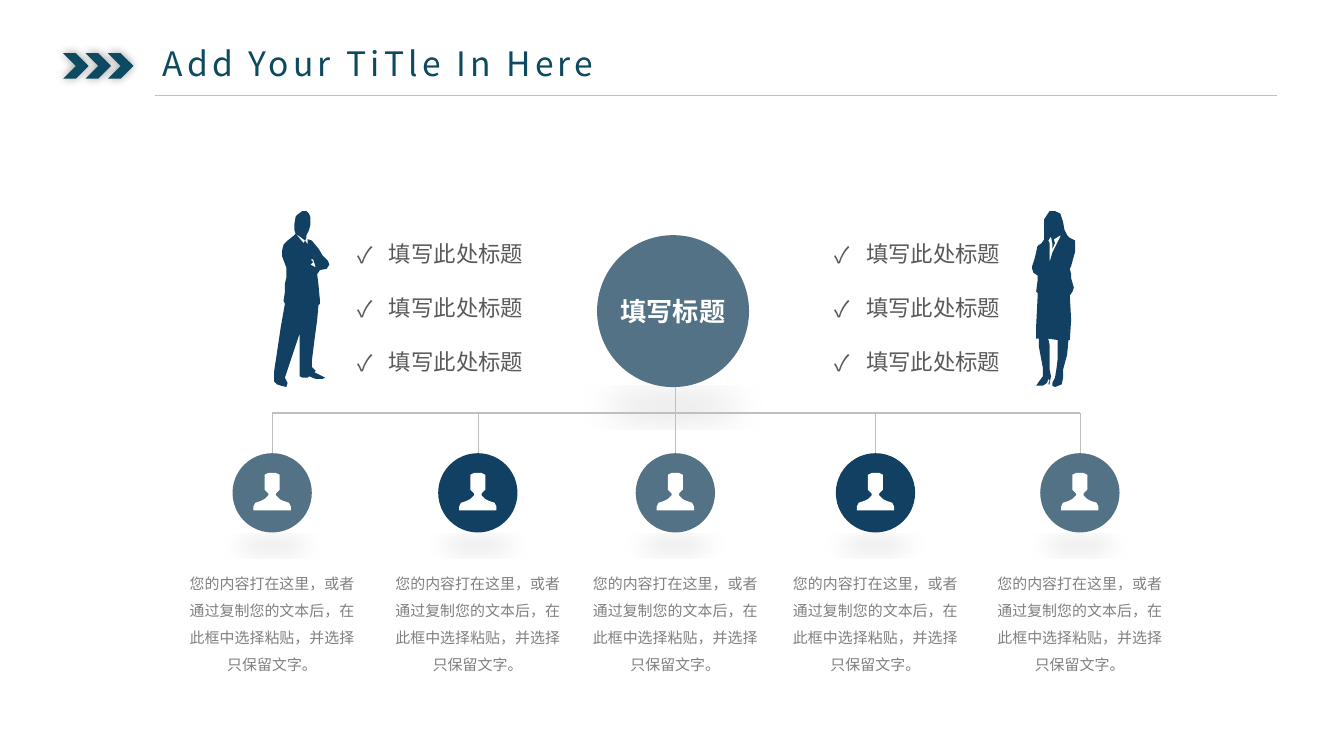
import pptx
import pptx.dml.color
import pptx.enum.shapes
import pptx.enum.text
import pptx.oxml
import pptx.oxml.ns
import pptx.util

Pt = pptx.util.Pt
SHAPES = pptx.enum.shapes.MSO_SHAPE
ALIGN = pptx.enum.text.PP_ALIGN
ANCHOR = pptx.enum.text.MSO_ANCHOR

MAN = [
    [(244, 194), (240, 190), (237, 185), (232, 179), (229, 178), (229, 182), (227, 179),
     (226, 181), (220, 174), (223, 176), (227, 179), (228, 177), (228, 175), (230, 171),
     (231, 167), (231, 162), (230, 159), (228, 157), (225, 157), (221, 160), (220, 161),
     (219, 167), (219, 171), (220, 174), (219, 175), (214, 179), (211, 182), (210, 186),
     (210, 191), (213, 199), (213, 207), (212, 211), (212, 217), (211, 224), (212, 226),
     (209, 243), (204, 276), (204, 280), (204, 284), (206, 286), (209, 287), (213, 288),
     (214, 285), (212, 281), (217, 266), (223, 248), (223, 255), (223, 273), (223, 278),
     (223, 280), (225, 281), (229, 281), (230, 280), (235, 282), (240, 282), (242, 281),
     (238, 279), (234, 277), (235, 276), (232, 273), (232, 269), (234, 253), (236, 238),
     (237, 227), (238, 226), (238, 223), (237, 212), (236, 204), (238, 201), (243, 200),
     (245, 197)],
    [(231, 197), (233, 195), (231, 193), (233, 193), (235, 199)],
]
WOMAN = [
    [(797, 198), (800, 187), (800, 179), (796, 177), (794, 175), (792, 171), (791, 165),
     (789, 159), (785, 157), (781, 157), (777, 163), (777, 172), (777, 178), (775, 181),
     (772, 183), (770, 192), (768, 198), (768, 200), (769, 203), (772, 205), (772, 209),
     (771, 217), (772, 218), (772, 222), (771, 242), (771, 252), (773, 252), (773, 258),
     (776, 274), (776, 280), (773, 284), (771, 287), (776, 287), (779, 285), (780, 282),
     (781, 283), (780, 286), (781, 286), (781, 285), (782, 280), (781, 275), (781, 267),
     (781, 257), (780, 252), (787, 253), (787, 257), (787, 267), (786, 275), (785, 281),
     (783, 285), (783, 287), (785, 288), (790, 286), (791, 281), (791, 277), (791, 275),
     (794, 264), (795, 253), (796, 253), (797, 238), (796, 220), (798, 217), (799, 214),
     (797, 207), (797, 204), (796, 200)],
    [(787, 180), (783, 188), (781, 195), (781, 193), (781, 185), (781, 181), (780, 179),
     (782, 176), (783, 181), (783, 185), (785, 181), (784, 178), (786, 177), (789, 175),
     (789, 176)],
]
BUST_HALF = [(0, 0), (2, 0.3), (3.6, 1.4), (4.2, 3.6), (4, 5.6), (4.5, 6.4), (4.1, 7.9),
             (3.6, 8.6), (3.2, 9.8), (2.5, 10.8), (2.5, 12.2), (3.5, 13.6), (6, 15),
             (8.8, 16.4), (10.2, 17.6), (10.5, 20.2)]
BUST = [BUST_HALF + [(-x, y) for x, y in reversed(BUST_HALF[1:])]]

NAVY, SLATE, TEAL, WHITE = "124062", "537285", "0D4960", "FFFFFF"
CENTRES = [145.8, 256, 361.8, 469, 578.5]
CIRCLE, CIRCLE_TOP, RAIL_TOP = 42.5, 242.8, 221.2
ITEM = "填写此处标题"
CAPTION = "您的内容打在这里，或者通过复制您的文本后，在此框中选择粘贴，并选择只保留文字。"


def rgb(color):
    """Turn a hex string into a colour."""
    return pptx.dml.color.RGBColor.from_string(color)


def add_xml(parent, tag, **attributes):
    """Append a drawing element with its attributes and return it."""
    child = pptx.oxml.parse_xml(f"<a:{tag} {pptx.oxml.ns.nsdecls('a')}/>")
    for name, value in attributes.items():
        child.set(name, str(value))
    parent.append(child)
    return child


class SlideBuilder:
    """Hold the style and the current slide, and draw each kind of element."""

    font = "Noto Sans CJK SC"
    title_font = "Noto Sans CJK JP"
    rule = "BFBFBF"

    def __init__(self, page):
        """Keep the slide to draw on."""
        self.page = page

    def paint(self, shape, color):
        """Give a shape a plain fill without line or shadow."""
        shape.fill.solid()
        shape.fill.fore_color.rgb = rgb(color)
        shape.line.fill.background()
        shape.shadow.inherit = False
        return shape

    def preset(self, kind, left, top, size, color, alpha, **shadow):
        """Draw a square preset shape with an outer shadow."""
        shape = self.page.shapes.add_shape(kind, Pt(left), Pt(top), Pt(size), Pt(size))
        self.paint(shape, color)
        effects = shape.element.spPr.find(pptx.oxml.ns.qn("a:effectLst"))
        outer = add_xml(effects, "outerShdw", **shadow)
        black = add_xml(outer, "srgbClr", val="000000")
        add_xml(black, "alpha", val=alpha * 1000)
        return shape

    def circle(self, left, top, size, color, blur):
        """Draw a circle with a flattened shadow under it."""
        return self.preset(SHAPES.OVAL, left, top, size, color, 10, blurRad=Pt(blur), dist=Pt(3),
                           dir=5400000, sx=90000, sy=-19000, rotWithShape=0)

    def outline(self, contours, color, unit, left=0, top=0):
        """Draw a filled outline from closed contours."""
        start = contours[0][0]
        builder = self.page.shapes.build_freeform(*start, scale=Pt(unit))
        for contour in contours:
            if contour is not contours[0]:
                builder.move_to(*contour[0])
            builder.add_line_segments(contour[1:], close=True)
        self.paint(builder.convert_to_shape(Pt(left), Pt(top)), color)

    def line(self, x1, y1, x2, y2, width, target=None):
        """Draw a grey straight line, joined to the top of a target if given."""
        line = self.page.shapes.add_connector(
            pptx.enum.shapes.MSO_CONNECTOR.STRAIGHT, Pt(x1), Pt(y1), Pt(x2), Pt(y2))
        if target is not None:
            line.end_connect(target, 0)
        line.line.color.rgb = rgb(self.rule)
        line.line.width = Pt(width)
        add_xml(line.element.spPr, "effectLst")

    def fill_text(self, shape, text, size, color, align=ALIGN.LEFT, anchor=ANCHOR.TOP,
                  inset=(0, 0), spacing=1, bold=False, wrap=True, font=None, tracking=0,
                  bullet=None):
        """Put formatted text into a shape."""
        frame = shape.text_frame
        frame.text = text
        frame.word_wrap = wrap
        frame.auto_size = pptx.enum.text.MSO_AUTO_SIZE.NONE
        frame.vertical_anchor = anchor
        frame.margin_left = frame.margin_right = Pt(inset[0])
        frame.margin_top = frame.margin_bottom = Pt(inset[1])
        for para in frame.paragraphs:
            para.alignment = align
            para.line_spacing = spacing
            para.space_before = Pt(0)
            if bullet:
                properties = para._p.get_or_add_pPr()
                properties.set("marL", str(Pt(16.9)))
                properties.set("indent", str(-Pt(16.9)))
                add_xml(properties, "buFont", typeface=self.font)
                add_xml(properties, "buChar", char=bullet)
            for span in para.runs:
                span.font.size = Pt(size)
                span.font.bold = bold
                span.font.color.rgb = rgb(color)
                span.font.name = font or self.font
                properties = span._r.get_or_add_rPr()
                properties.set("spc", str(round(tracking * 100)))
                add_xml(properties, "ea", typeface=font or self.font)

    def place(self, holder, left, top, width, height):
        """Move a placeholder to its position."""
        holder.left, holder.top = Pt(left), Pt(top)
        holder.width, holder.height = Pt(width), Pt(height)
        return holder

    def title(self, text):
        """Fill the title placeholder."""
        holder = self.place(self.page.shapes.title, 82.8, 20.9, 313.2, 25.9)
        self.fill_text(holder, text, 18, TEAL, anchor=ANCHOR.MIDDLE, inset=(4.3, 2.2),
                       font=self.title_font, tracking=2.2)

    def checklist(self, index, left, items):
        """Fill a body placeholder with ticked items."""
        holder = self.place(self.page.placeholders[index], left, 111.6, 100.8, 88.6)
        self.fill_text(holder, "\n".join(items), 12, "595959", inset=(5, 2.9), spacing=2,
                       wrap=False, bullet="✓")

    def caption(self, centre, text):
        """Add a centred text block under a circle."""
        box = self.page.shapes.add_textbox(Pt(centre - 53.6), Pt(300.2), Pt(107.2), Pt(62))
        self.fill_text(box, text, 8, "808080", ALIGN.CENTER, inset=(5.8, 2.9), spacing=1.5)


def main():
    """Build the slide and save it."""
    deck = pptx.Presentation()
    deck.slide_width, deck.slide_height = Pt(720), Pt(405)
    slide = SlideBuilder(deck.slides.add_slide(deck.slide_layouts[3]))

    for index in range(3):
        slide.preset(SHAPES.CHEVRON, 33.8 + 12 * index, 28.5, 13.7, TEAL, 40,
                     blurRad=Pt(5), dist=0, dir=0, algn="ctr", rotWithShape=0)
    slide.title("Add Your TiTle In Here")
    slide.line(82.8, 51.2, 684, 51.2, 0.5)

    hub = slide.circle(319.9, 126, 81.4, SLATE, 19)
    slide.fill_text(hub, "填写标题", 14, WHITE, ALIGN.CENTER, ANCHOR.MIDDLE, bold=True)
    slide.line(CENTRES[0], RAIL_TOP, CENTRES[-1], RAIL_TOP, 1)
    for index, centre in enumerate(CENTRES):
        color = NAVY if index % 2 else SLATE
        circle = slide.circle(centre - CIRCLE / 2, CIRCLE_TOP, CIRCLE, color, 12)
        start = 207.4 if index == 2 else RAIL_TOP
        slide.line(centre, start, centre, CIRCLE_TOP, 0.25, circle)
        slide.outline(BUST, WHITE, 1, centre, 253.4)
        slide.caption(centre, CAPTION)

    slide.outline(MAN, NAVY, 0.72)
    slide.outline(WOMAN, NAVY, 0.72)
    slide.checklist(1, 186.5, [ITEM] * 3)
    slide.checklist(2, 442.1, [ITEM] * 3)
    deck.save("out.pptx")


if __name__ == "__main__":
    main()
